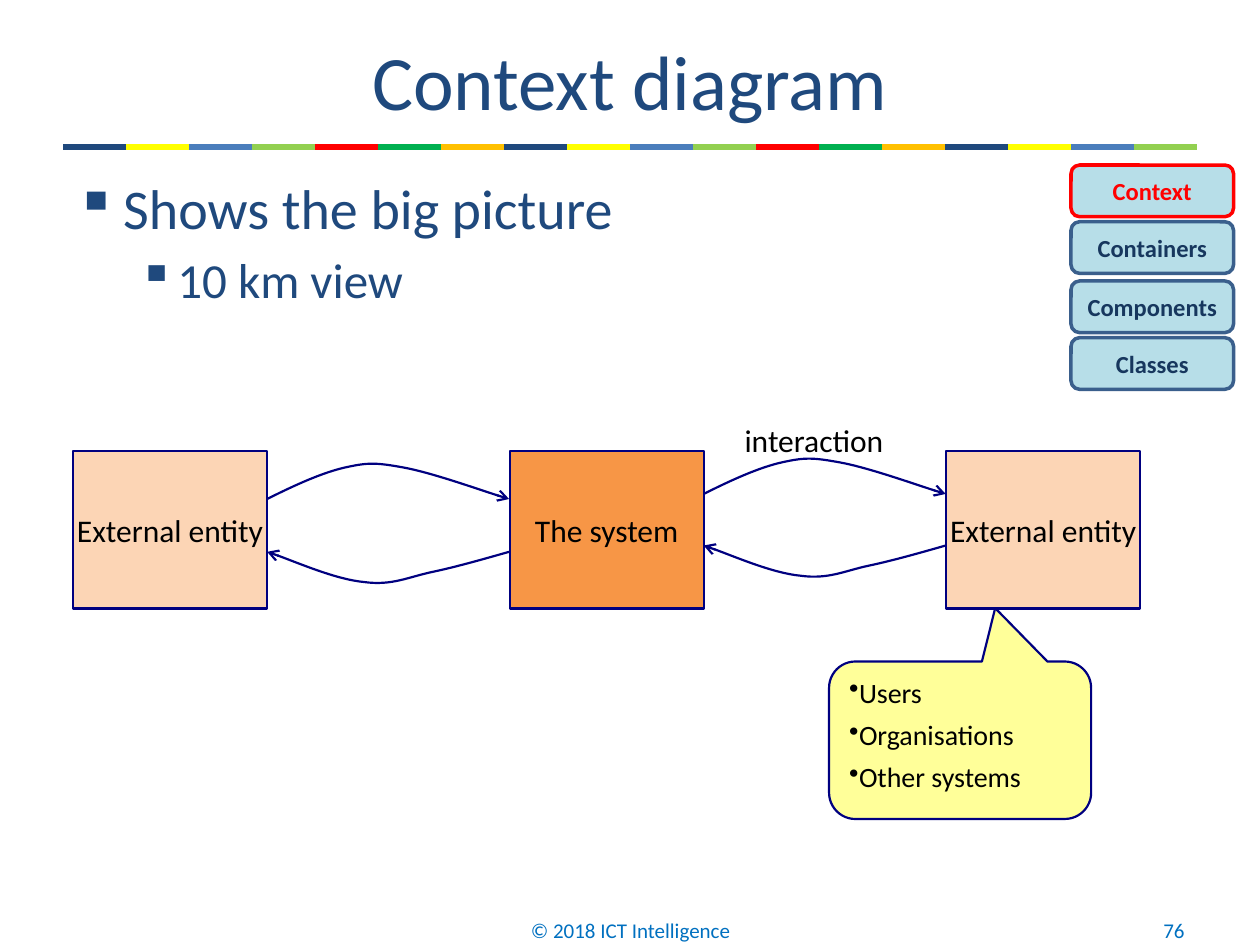
from itertools import cycle, islice

from lxml import etree
from pptx import Presentation
from pptx.dml.color import RGBColor
from pptx.enum.shapes import MSO_CONNECTOR as Connector, MSO_SHAPE as Shape
from pptx.enum.text import MSO_ANCHOR as Anchor, PP_ALIGN as Align
from pptx.oxml.ns import qn
from pptx.util import Inches, Pt

THEME = {
    "font": "Calibri",
    "navy": "1F497D", "outline": "000080", "black": "000000", "footer": "0070C0",
    "entity": "FCD5B5", "system": "F79646", "note": "FFFF99",
    "level": "B7DEE8", "level_line": "3A5F8C", "level_text": "17375E", "current": "FF0000",
    "stripes": ["1F497D", "FFFF00", "4B7EBC", "92D050", "FF0000", "00B050", "FFC000"],
    "title_size": 44, "body_size": 32, "sub_size": 28, "label_size": 18,
    "note_size": 16, "level_size": 14, "footer_size": 12,
}


def write(shape, lines, color, size, align=Align.LEFT, anchor=Anchor.MIDDLE,
          wrap=True, bold=False, bullet=None):
    """Fill a shape with lines of (text, size, left margin, indent) or plain text."""
    frame = shape.text_frame
    frame.word_wrap = wrap
    frame.vertical_anchor = anchor
    for index, line in enumerate(lines):
        text, points, margin, indent = (line, size, 0, 0) if isinstance(line, str) else line
        paragraph = frame.paragraphs[0] if index == 0 else frame.add_paragraph()
        if bullet:
            properties = paragraph._p.get_or_add_pPr()
            properties.set("marL", str(Inches(margin)))
            properties.set("indent", str(Inches(indent)))
            etree.SubElement(properties, qn("a:buChar")).set("char", bullet)
        paragraph.alignment = align
        if index:
            paragraph.space_before = Pt(5)
        run = paragraph.add_run()
        run.text = text
        run.font.name = THEME["font"]
        run.font.size = Pt(points)
        run.font.bold = bold
        run.font.color.rgb = RGBColor.from_string(color)


def add_box(kind, left, top, width, height, fill, line, line_width=1.25):
    box = slide.shapes.add_shape(kind, Inches(left), Inches(top), Inches(width), Inches(height))
    box.shadow.inherit = False
    box.fill.solid()
    box.fill.fore_color.rgb = RGBColor.from_string(fill)
    box.line.color.rgb = RGBColor.from_string(line)
    box.line.width = Pt(line_width)
    return box


prs = Presentation()
prs.slide_width, prs.slide_height = Inches(10), Inches(7.5)
slide = prs.slides.add_slide(prs.slide_layouts[6])

# Striped rule under the title
for index, color in enumerate(islice(cycle(THEME["stripes"]), 18)):
    start = 0.5 + index * 0.5
    stripe = slide.shapes.add_connector(
        Connector.STRAIGHT, Inches(start), Inches(1.17), Inches(start + 0.5), Inches(1.17))
    stripe.line.color.rgb = RGBColor.from_string(color)
    stripe.line.width = Pt(3.5)
    etree.SubElement(stripe._element.spPr, qn("a:effectLst"))

# Title, body and footer
title = slide.shapes.add_textbox(Inches(0.5), Inches(0.17), Inches(9), Inches(0.92))
write(title, ["Context diagram"], THEME["navy"], THEME["title_size"], Align.CENTER)

body = slide.shapes.add_textbox(Inches(0.5), Inches(1.33), Inches(9), Inches(5.37))
write(body, [("Shows the big picture", THEME["body_size"], 0.38, -0.38),
             ("10 km view", THEME["sub_size"], 0.81, -0.31)],
      THEME["navy"], THEME["body_size"], anchor=Anchor.TOP, bullet="▪")

for text, left, width, align in [("© 2018 ICT Intelligence", 3.42, 3.17, Align.CENTER),
                                 ("76", 7.17, 2.33, Align.RIGHT)]:
    footer = slide.shapes.add_textbox(Inches(left), Inches(7.18), Inches(width), Inches(0.4))
    write(footer, [text], THEME["footer"], THEME["footer_size"], align)

# System between two external entities
BOX_WIDTH, BOX_STEP, BOX_LEFT = 1.54, 3.465, 0.58
for index, (text, fill) in enumerate([("External entity", THEME["entity"]),
                                      ("The system", THEME["system"]),
                                      ("External entity", THEME["entity"])]):
    box = add_box(Shape.RECTANGLE, BOX_LEFT + index * BOX_STEP, 3.58, BOX_WIDTH, 1.25,
                  fill, THEME["outline"])
    write(box, [text], THEME["black"], THEME["label_size"], Align.CENTER, wrap=False)

# Curved arrows: a start point, then three Bezier points per segment
OUTWARD = [(0, 0), (0.22, -0.11), (0.44, -0.21), (0.62, -0.25), (0.8, -0.29), (0.86, -0.29),
           (1.08, -0.25), (1.3, -0.21), (1.78, -0.04), (1.92, 0)]
RETURN = [(1.92, 0), (1.71, 0.06), (1.5, 0.12), (1.31, 0.16), (1.12, 0.2), (0.99, 0.27),
          (0.77, 0.24), (0.55, 0.22), (0.13, 0.04), (0, 0)]
for gap, (outward_top, return_top) in enumerate([(3.96, 4.38), (3.92, 4.33)]):
    gap_left = BOX_LEFT + BOX_WIDTH + gap * BOX_STEP
    for points, top in [(OUTWARD, outward_top), (RETURN, return_top)]:
        corners = [(Inches(gap_left + x), Inches(top + y)) for x, y in points]
        builder = slide.shapes.build_freeform(*corners[0])
        builder.add_line_segments(corners[1:], close=False)
        arrow = builder.convert_to_shape()
        arrow.shadow.inherit = False
        arrow.fill.background()
        arrow.line.color.rgb = RGBColor.from_string(THEME["outline"])
        arrow.line.width = Pt(1.25)
        etree.SubElement(arrow.line._get_or_add_ln(), qn("a:tailEnd")).set("type", "arrow")
        outline = next(arrow._element.iter(qn("a:path")))
        segments = outline.findall(qn("a:lnTo"))
        for first in range(0, len(segments), 3):
            curve = etree.SubElement(outline, qn("a:cubicBezTo"))
            for segment in segments[first:first + 3]:
                curve.append(segment[0])
                outline.remove(segment)

interaction = slide.shapes.add_textbox(Inches(5.8), Inches(3.29), Inches(1.32), Inches(0.4))
write(interaction, ["interaction"], THEME["black"], THEME["label_size"], Align.CENTER,
      anchor=Anchor.TOP, wrap=False)

# Callout with examples of external entities
examples = add_box(Shape.ROUNDED_RECTANGULAR_CALLOUT, 6.58, 5.25, 2.08, 1.25,
                   THEME["note"], THEME["outline"])
for index, value in enumerate([0.134, -0.839, 0.167]):
    examples.adjustments[index] = value
write(examples, ["Users", "Organisations", "Other systems"], THEME["black"],
      THEME["note_size"], anchor=Anchor.TOP, bullet="•")

# Zoom levels, with the current one highlighted
for text, top in [("Classes", 2.68), ("Components", 2.23), ("Containers", 1.76), ("Context", 1.31)]:
    is_current = text == "Context"
    level = add_box(Shape.ROUNDED_RECTANGLE, 8.5, top, 1.29, 0.41, THEME["level"],
                    THEME["current" if is_current else "level_line"], 2)
    write(level, [text], THEME["current" if is_current else "level_text"],
          THEME["level_size"], Align.CENTER, bold=True)

prs.save("out.pptx")
